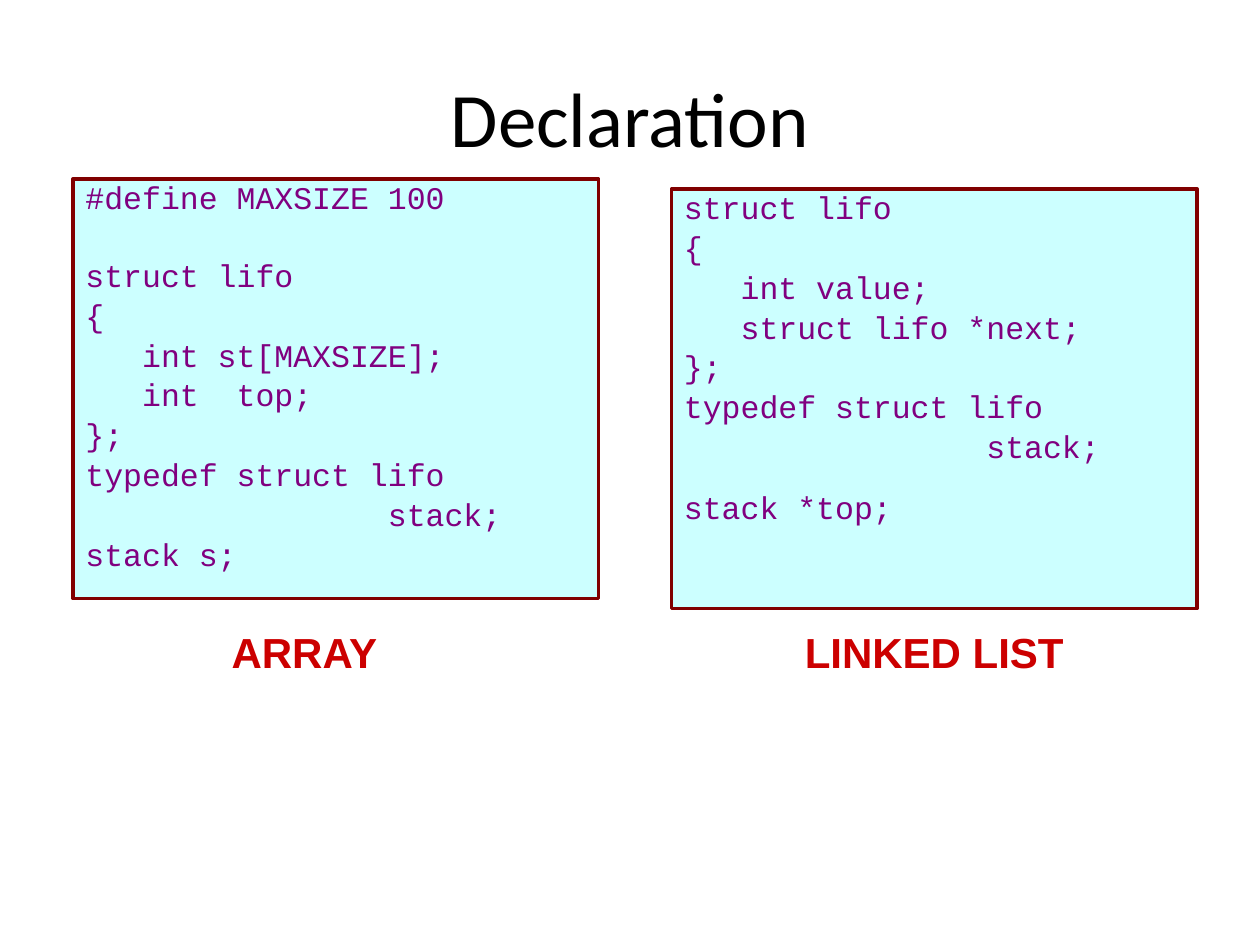
from dataclasses import dataclass

from pptx import Presentation
from pptx.dml.color import RGBColor as RGB
from pptx.enum.shapes import MSO_SHAPE as Shape
from pptx.enum.text import MSO_ANCHOR as Anchor, PP_ALIGN as Align
from pptx.util import Inches, Pt


@dataclass(frozen=True)
class Theme:
    title_color: RGB = RGB(0x00, 0x00, 0x00)
    panel_fill: RGB = RGB(0xCC, 0xFF, 0xFF)
    panel_line: RGB = RGB(0x80, 0x00, 0x00)
    code_color: RGB = RGB(0x80, 0x00, 0x80)
    label_color: RGB = RGB(0xCC, 0x00, 0x00)
    title_size: Pt = Pt(44)
    code_size: Pt = Pt(18)
    label_size: Pt = Pt(24)
    line_gap: Pt = Pt(5.5)


theme = Theme()

ARRAY_CODE = """#define MAXSIZE 100
struct lifo
{
   int st[MAXSIZE];
   int  top;
};
typedef struct lifo
                stack;
stack s;"""

LIST_CODE = """struct lifo
{
   int value;
   struct lifo *next;
};
typedef struct lifo
                stack;
stack *top;"""

# code, panel left and top, index and space before of the set-off line,
# label, label left and width
DECLARATIONS = [
    (ARRAY_CODE, 0.58, 1.42, 1, Pt(27.3), "ARRAY", 1.5, 1.83),
    (LIST_CODE, 5.33, 1.5, 7, Pt(17.4), "LINKED LIST", 5.83, 3.17),
]


def style(para, name, size, color, align, bold=False):
    para.alignment = align
    para.font.name = name
    para.font.size = size
    para.font.color.rgb = color
    para.font.bold = bold


deck = Presentation()
deck.slide_width, deck.slide_height = Inches(10), Inches(7.5)
page = deck.slides.add_slide(deck.slide_layouts.get_by_name("Title Only"))

title = page.shapes.title
title.left, title.top = Inches(0.5), Inches(0.3)
title.width, title.height = Inches(9), Inches(1.25)
title.text_frame.text = "Declaration"
title.text_frame.vertical_anchor = Anchor.MIDDLE
style(title.text_frame.paragraphs[0], "Calibri", theme.title_size,
      theme.title_color, Align.CENTER)

for code, left, top, gap_index, gap, label, label_left, label_width in DECLARATIONS:
    panel = page.shapes.add_shape(Shape.RECTANGLE, Inches(left), Inches(top),
                                  Inches(4.17), Inches(3.33))
    panel.shadow.inherit = False
    panel.fill.solid()
    panel.fill.fore_color.rgb = theme.panel_fill
    panel.line.color.rgb = theme.panel_line
    panel.line.width = Pt(2)
    panel.text_frame.vertical_anchor = Anchor.TOP
    panel.text_frame.text = code
    for index, para in enumerate(panel.text_frame.paragraphs):
        para.line_spacing = 0.8
        if index:
            para.space_before = gap if index == gap_index else theme.line_gap
        style(para, "Courier New", theme.code_size, theme.code_color, Align.LEFT)

    box = page.shapes.add_textbox(Inches(label_left), Inches(4.92),
                                  Inches(label_width), Inches(0.5))
    box.text_frame.word_wrap = True
    box.text_frame.text = label
    style(box.text_frame.paragraphs[0], "Arial", theme.label_size,
          theme.label_color, Align.CENTER, bold=True)

deck.save("out.pptx")
